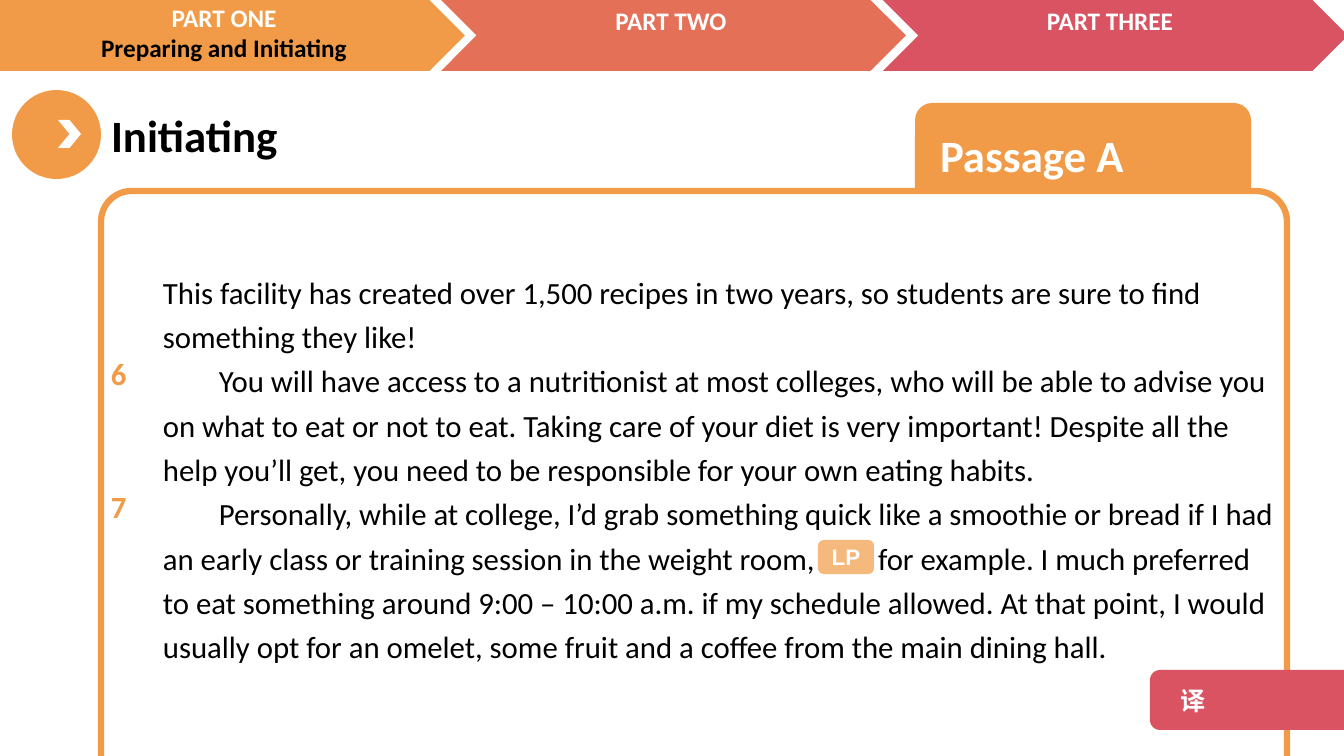
from lxml import etree
from pptx import Presentation
from pptx.dml.color import RGBColor
from pptx.enum import shapes, text
from pptx.oxml.ns import qn
from pptx.util import Pt

PX = 914400 / 100.8
ORANGE = RGBColor(0xF1, 0x9B, 0x48)
CORAL = RGBColor(0xE4, 0x70, 0x57)
RED = RGBColor(0xDA, 0x53, 0x62)
WHITE = RGBColor(255, 255, 255)
BLACK = RGBColor(0, 0, 0)

TITLE = "Initiating"
CHEVRONS = [(441, 465, CORAL), (883, 465, RED), (-61, 526, ORANGE)]
PARTS = [
    (-6, -3, [("PART ONE", WHITE), ("Preparing and Initiating", BLACK)]),
    (441, 0, [("PART TWO", WHITE)]),
    (880, 0, [("PART THREE", WHITE)]),
]
PASSAGE = [
    (0, ["This facility has created over 1,500 recipes in two years, so students are sure to find something they like!"]),
    (56, ["You will have access to a nutritionist at most colleges, who will be able to advise you on what to eat or not to eat. Taking care of your diet is very important! Despite all the help you’ll get, you need to be responsible for your own eating habits."]),
    (56, ["Personally, while at college, I’d grab something quick like a smoothie or bread if I had an early class or training session in the weight room,",
          " ",
          "for example. I much preferred to eat something around 9:00 – 10:00 a.m. if my schedule allowed. At that point, I would usually opt for an omelet, some fruit and a coffee from the main dining hall."]),
]
LABEL_GAP_PT = 40
NUMBERS = [("6", 342), ("7", 475)]


def px(n):
    return round(n * PX)


def write(tf, *pieces, size=18, color=WHITE, bold=True, font="Calibri",
          align=text.PP_ALIGN.LEFT, spacing=None, indent=0, new=False):
    p = tf.add_paragraph() if new else tf.paragraphs[0]
    p.alignment = align
    if spacing:
        p.line_spacing = spacing
    pPr = p._p.get_or_add_pPr()
    pPr.set("marL", "0")
    pPr.set("indent", str(px(indent)))
    for piece in pieces:
        r = p.add_run()
        r.text = piece
        r.font.name, r.font.size, r.font.bold = font, Pt(size), bold
        r.font.color.rgb = color
        rPr = r._r.get_or_add_rPr()
        etree.SubElement(rPr, qn("a:ea"), typeface=font)
        if piece == " ":
            rPr.set("spc", str(LABEL_GAP_PT * 100))


def add_shape(s, kind, box, fill, line=None, adj=None):
    sp = s.shapes.add_shape(kind, *map(px, box))
    sp.shadow.inherit = False
    sp.fill.solid()
    sp.fill.fore_color.rgb = fill
    if line:
        sp.line.color.rgb, sp.line.width = line, Pt(4.5)
    else:
        sp.line.fill.background()
    if adj is not None:
        sp.adjustments[0] = adj
    sp.text_frame.vertical_anchor = text.MSO_ANCHOR.MIDDLE
    return sp


def add_text(s, box):
    tf = s.shapes.add_textbox(*map(px, box)).text_frame
    tf.word_wrap = True
    return tf


def main():
    prs = Presentation()
    prs.slide_width, prs.slide_height = px(1344), px(756)
    s = prs.slides.add_slide(prs.slide_layouts[5])
    kind = shapes.MSO_SHAPE

    title = s.shapes.title
    title.left, title.top, title.width, title.height = map(px, (101, 103, 489, 65))
    title.text_frame.vertical_anchor = text.MSO_ANCHOR.TOP
    write(title.text_frame, TITLE, size=32, color=BLACK)

    add_shape(s, kind.OVAL, (12, 90, 89, 89), ORANGE)
    tab = add_shape(s, kind.ROUNDED_RECTANGLE, (915, 103, 336, 103), ORANGE)
    tab.text_frame.margin_left = px(20)
    write(tab.text_frame, "Passage A", size=32)
    add_shape(s, kind.ROUNDED_RECTANGLE, (101, 191, 1186, 650), WHITE, ORANGE, 0.047)

    for x, w, color in CHEVRONS:
        add_shape(s, kind.CHEVRON, (x, 0, w, 71), color)
    add_shape(s, kind.CHEVRON, (58, 120, 23, 28), WHITE)
    for x, y, lines in PARTS:
        tf = add_text(s, (x, y, 460, 71))
        for i, (line, color) in enumerate(lines):
            write(tf, line, color=color, align=text.PP_ALIGN.CENTER, new=i > 0)

    body = add_text(s, (153, 261, 1134, 413))
    for i, (indent, pieces) in enumerate(PASSAGE):
        write(body, *pieces, size=22, color=BLACK, bold=False, spacing=1.2,
              indent=indent, new=i > 0)
    for number, y in NUMBERS:
        write(add_text(s, (101, y, 51, 55)), number, size=22, color=ORANGE, spacing=1.2)

    button = add_shape(s, kind.ROUNDED_RECTANGLE, (1150, 670, 215, 60), RED)
    button.text_frame.margin_left = px(28)
    write(button.text_frame, "译", font="Noto Sans CJK SC")

    label = add_shape(s, kind.ROUNDED_RECTANGLE, (818, 540, 56, 34), ORANGE)
    color = label.fill._xPr.find(qn("a:solidFill"))[0]
    etree.SubElement(color, qn("a:alpha"), val="71000")
    label.text_frame.margin_left = label.text_frame.margin_right = 0
    write(label.text_frame, "LP", size=16, font="Arial", align=text.PP_ALIGN.CENTER)

    prs.save("out.pptx")


if __name__ == "__main__":
    main()
